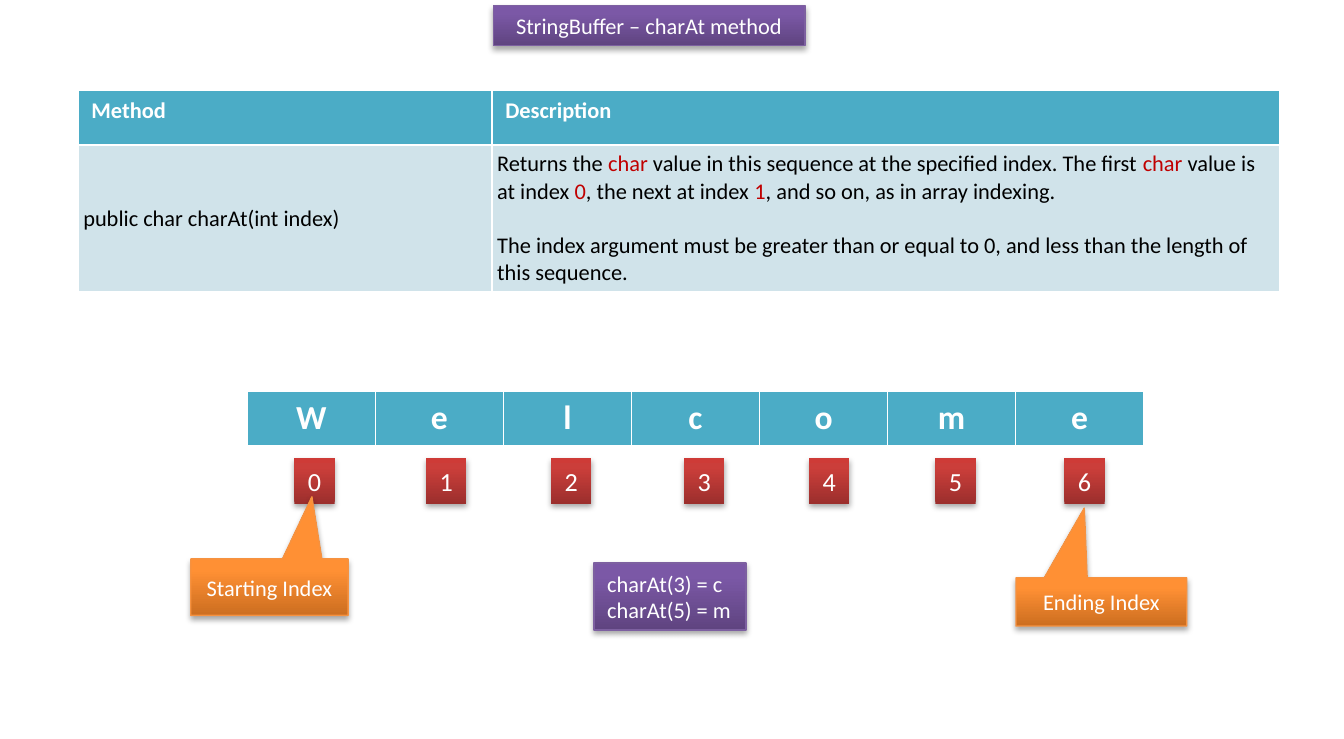
from copy import deepcopy
from dataclasses import dataclass

from lxml import etree
from pptx import Presentation
from pptx.dml.color import RGBColor
from pptx.enum import shapes, text
from pptx.oxml import ns
from pptx.util import Inches, Pt


@dataclass(frozen=True)
class Theme:
    font: str = "Calibri"
    body: int = 12
    index: int = 14
    letter: int = 18
    white: str = "FFFFFF"
    black: str = "000000"
    accent: str = "C00000"
    header: str = "4BACC6"
    row: str = "D0E3EA"
    purple: tuple = ("5F4480", "7B58A6", "7C57A8")
    purple_line: str = "7D60A0"
    red: tuple = ("9C2F2D", "CB3E3A", "CE3B37")
    orange: tuple = ("CC6E20", "FF9034", "FF9136")
    orange_line: str = "F69240"


T = Theme()
CENTER = text.PP_ALIGN.CENTER
LEFT = text.PP_ALIGN.LEFT
MIDDLE = text.MSO_ANCHOR.MIDDLE


def rgb(value):
    return RGBColor.from_string(value)


def style_run(r, size, color, bold=False):
    r.font.name = T.font
    r.font.size = Pt(size)
    r.font.bold = bold
    r.font.color.rgb = rgb(color)


def style_text(tf, size, color, align=LEFT, bold=False):
    for p in tf.paragraphs:
        p.alignment = align
        for r in p.runs:
            style_run(r, size, color, bold)


def move(s, box):
    s.left, s.top, s.width, s.height = (Inches(v) for v in box)


def fill_gradient(s, colors):
    s.fill.gradient()
    s.fill.gradient_angle = 90
    stops = s._element.spPr.find(".//" + ns.qn("a:gsLst"))
    stops.append(deepcopy(stops[-1]))
    for stop, color, position in zip(s.fill.gradient_stops, colors, (0, 0.8, 1)):
        stop.color.rgb = rgb(color)
        stop.position = position


def add_shadow(s):
    s.shadow.inherit = False
    effects = s._element.spPr.find(ns.qn("a:effectLst"))
    shadow = etree.SubElement(effects, ns.qn("a:outerShdw"), blurRad="40000",
                              dist="23000", dir="5400000", rotWithShape="0")
    color = etree.SubElement(shadow, ns.qn("a:srgbClr"), val=T.black)
    etree.SubElement(color, ns.qn("a:alpha"), val="35000")


def decorate(s, words, size, colors, line=None, align=CENTER, wrap=True):
    fill_gradient(s, colors)
    if line:
        s.line.color.rgb = rgb(line)
        s.line.width = Pt(0.75)
    else:
        s.line.fill.background()
    add_shadow(s)
    tf = s.text_frame
    tf.text = words
    tf.word_wrap = wrap
    tf.vertical_anchor = MIDDLE
    style_text(tf, size, T.white, align)


def add_title(slide, box):
    s = slide.shapes.title
    move(s, box)
    decorate(s, "StringBuffer – charAt method", T.body, T.purple, T.purple_line)
    s.text_frame.auto_size = text.MSO_AUTO_SIZE.NONE


def add_grid(slide, box, widths, heights):
    table = slide.shapes.add_table(len(heights), len(widths),
                                   *(Inches(v) for v in box)).table
    for column, width in zip(table.columns, widths):
        column.width = Inches(width)
    for row, height in zip(table.rows, heights):
        row.height = Inches(height)
    return table


def fill_header(table, labels, size, align=LEFT):
    for cell, label in zip(table.rows[0].cells, labels):
        cell.text = label
        cell.fill.solid()
        cell.fill.fore_color.rgb = rgb(T.header)
        style_text(cell.text_frame, size, T.white, align, True)


def write_marked(p, marked):
    for i, part in enumerate(marked.split("|")):
        r = p.add_run()
        r.text = part
        style_run(r, T.body, T.accent if i % 2 else T.black)


def add_method_table(slide, box):
    x, y, w, h = box
    table = add_grid(slide, box, (3.08, w - 3.08), (0.41, h - 0.41))
    fill_header(table, ("Method", "Description"), T.body)
    contents = (
        ["public char charAt(int index)"],
        ["Returns the |char| value in this sequence at the specified index. "
         "The first |char| value is at index |0|, the next at index |1|, "
         "and so on, as in array indexing.",
         "The index argument must be greater than or equal to 0, "
         "and less than the length of this sequence."],
    )
    for cell, paragraphs in zip(table.rows[1].cells, contents):
        cell.fill.solid()
        cell.fill.fore_color.rgb = rgb(T.row)
        cell.vertical_anchor = MIDDLE
        cell.margin_left = cell.margin_right = Inches(0.04)
        cell.margin_top = cell.margin_bottom = Inches(0.04)
        tf = cell.text_frame
        for i, marked in enumerate(paragraphs):
            p = tf.add_paragraph() if i else tf.paragraphs[0]
            if i:
                p.space_before = Pt(14.6)
            write_marked(p, marked)


def add_letters(slide, box, word):
    x, y, w, h = box
    table = add_grid(slide, box, [w / len(word)] * len(word), [h])
    fill_header(table, word, T.letter, CENTER)


def add_indexes(slide, lefts, top):
    for i, left in enumerate(lefts):
        s = slide.shapes.add_shape(shapes.MSO_SHAPE.RECTANGLE, Inches(left),
                                   Inches(top), Inches(0.3), Inches(0.34))
        decorate(s, str(i), T.index, T.red, wrap=False)


def add_callout(slide, box, words, tip):
    s = slide.shapes.add_shape(shapes.MSO_SHAPE.RECTANGULAR_CALLOUT,
                               *(Inches(v) for v in box))
    s.adjustments[0], s.adjustments[1] = tip
    decorate(s, words, T.body, T.orange, T.orange_line)


def add_results(slide, box):
    s = slide.shapes.add_shape(shapes.MSO_SHAPE.RECTANGLE,
                               *(Inches(v) for v in box))
    decorate(s, "charAt(3) = c\ncharAt(5) = m", T.body, T.purple,
             T.purple_line, LEFT, False)


def main():
    prs = Presentation()
    prs.slide_width, prs.slide_height = Inches(10), Inches(5.5)
    slide = prs.slides.add_slide(prs.slide_layouts[5])
    add_title(slide, (3.67, 0.04, 2.32, 0.3))
    add_method_table(slide, (0.58, 0.67, 8.94, 1.49))
    add_letters(slide, (1.84, 2.91, 6.67, 0.41), "Welcome")
    add_indexes(slide, (2.19, 3.17, 4.1, 5.09, 6.02, 6.96, 7.92), 3.41)
    add_callout(slide, (1.42, 4.16, 1.17, 0.42), "Starting Index", (0.27, -1.6))
    add_callout(slide, (7.56, 4.3, 1.27, 0.36), "Ending Index", (-0.1, -1.94))
    add_results(slide, (4.42, 4.19, 1.13, 0.5))
    prs.save("out.pptx")


if __name__ == "__main__":
    main()
